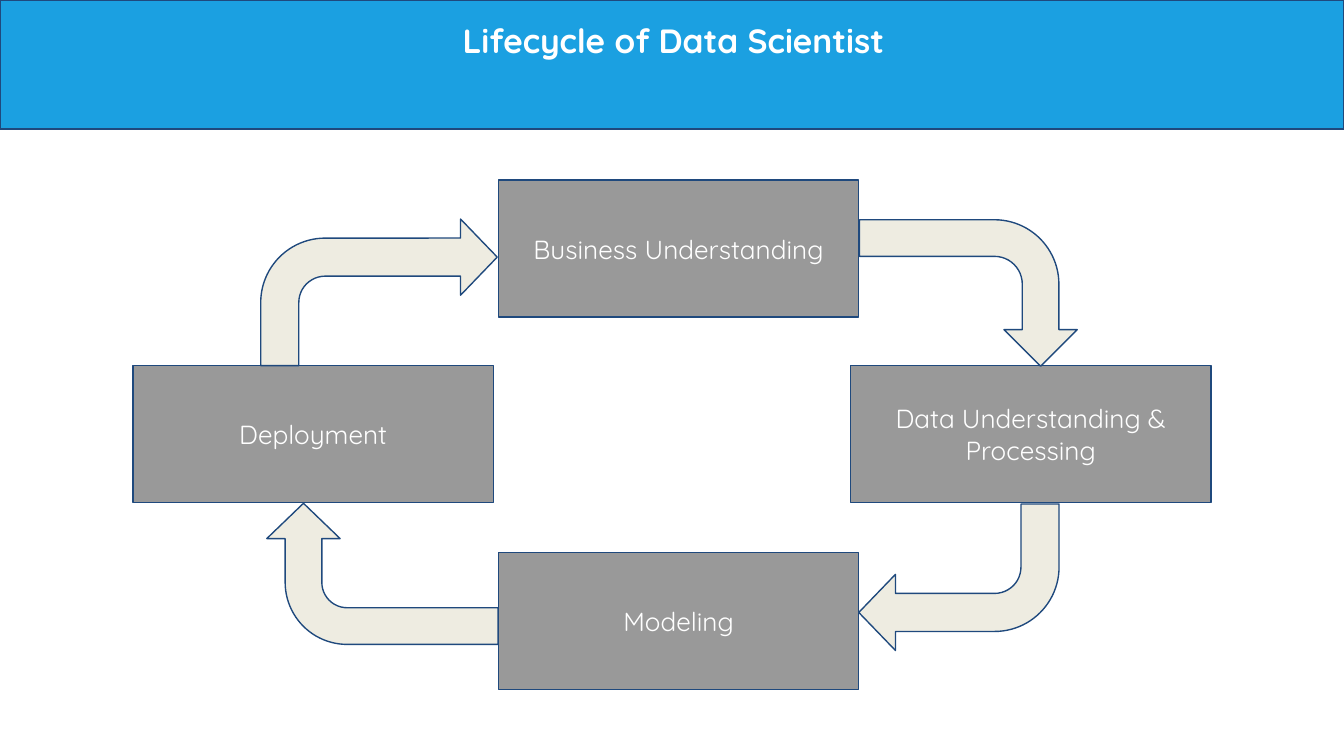
"""Build the data scientist lifecycle slide: four stages joined by bent arrows."""
import pptx
import pptx.dml.color
import pptx.enum.shapes
import pptx.enum.text
import pptx.util

Inches = pptx.util.Inches
Pt = pptx.util.Pt
RGB = pptx.dml.color.RGBColor.from_string
SHAPES = pptx.enum.shapes.MSO_SHAPE

THEME = {
    "font": "Quicksand",
    "banner": RGB("1BA0E1"),
    "stage": RGB("999999"),
    "arrow": RGB("EEECE1"),
    "outline": RGB("1F497D"),
    "text": RGB("FFFFFF"),
    "title_size": Pt(18),
    "stage_size": Pt(14),
    "outline_width": Pt(0.75),
}


def add_figure(preset, left, top, width, height, fill):
    figure = slide.shapes.add_shape(
        preset, Inches(left), Inches(top), Inches(width), Inches(height))
    figure.shadow.inherit = False
    figure.fill.solid()
    figure.fill.fore_color.rgb = fill
    figure.line.color.rgb = THEME["outline"]
    figure.line.width = THEME["outline_width"]
    return figure


def write_text(holder, wording, size, bold, bottom=0.1):
    frame = holder.text_frame
    frame.text = wording
    frame_format = {
        "word_wrap": True,
        "auto_size": pptx.enum.text.MSO_AUTO_SIZE.NONE,
        "vertical_anchor": pptx.enum.text.MSO_ANCHOR.MIDDLE,
        "margin_left": Inches(0.1),
        "margin_right": Inches(0.1),
        "margin_top": Inches(0.1),
        "margin_bottom": Inches(bottom),
    }
    for attribute, value in frame_format.items():
        setattr(frame, attribute, value)
    paragraph = frame.paragraphs[0]
    paragraph.alignment = pptx.enum.text.PP_ALIGN.CENTER
    font = paragraph.runs[0].font
    font_format = {"name": THEME["font"], "size": size, "bold": bold}
    for attribute, value in font_format.items():
        setattr(font, attribute, value)
    font.color.rgb = THEME["text"]


deck = pptx.Presentation()
deck.slide_width = Inches(10)
deck.slide_height = Inches(10 * 9 / 16)
slide = deck.slides.add_slide(deck.slide_layouts[5])

title = slide.shapes.title
title_place = {"left": 0.01, "top": 0, "width": 10, "height": 0.89}
for attribute, value in title_place.items():
    setattr(title, attribute, Inches(value))
write_text(title, "Lifecycle of Data Scientist", THEME["title_size"], True, bottom=0.4)

banner = add_figure(SHAPES.RECTANGLE, 0, 0, 10, 0.96, THEME["banner"])
title.element.addprevious(banner.element)

stages = [
    ("Business Understanding", 3.71, 1.34),
    ("Data Understanding & Processing", 6.33, 2.72),
    ("Modeling", 3.71, 4.11),
    ("Deployment", 0.99, 2.72),
]
for wording, left, top in stages:
    stage = add_figure(SHAPES.RECTANGLE, left, top, 2.68, 1.02, THEME["stage"])
    write_text(stage, wording, THEME["stage_size"], False)

arrows = [
    (6.66, 1.37, 1.09, 1.62, 90, 0.25, 0.25),
    (6.39, 3.75, 1.49, 1.09, 180, 0.26, 0.26),
    (2.32, 3.41, 1.05, 1.72, 270, 0.26, 0.26),
    (1.94, 1.63, 1.76, 1.09, 0, 0.26, 0.26),
]
for left, top, width, height, turn, shaft, head in arrows:
    arrow = add_figure(SHAPES.BENT_ARROW, left, top, width, height, THEME["arrow"])
    arrow.rotation = turn
    for index, ratio in enumerate((shaft, head, 0.25, 0.44)):
        arrow.adjustments[index] = ratio

deck.save("out.pptx")
